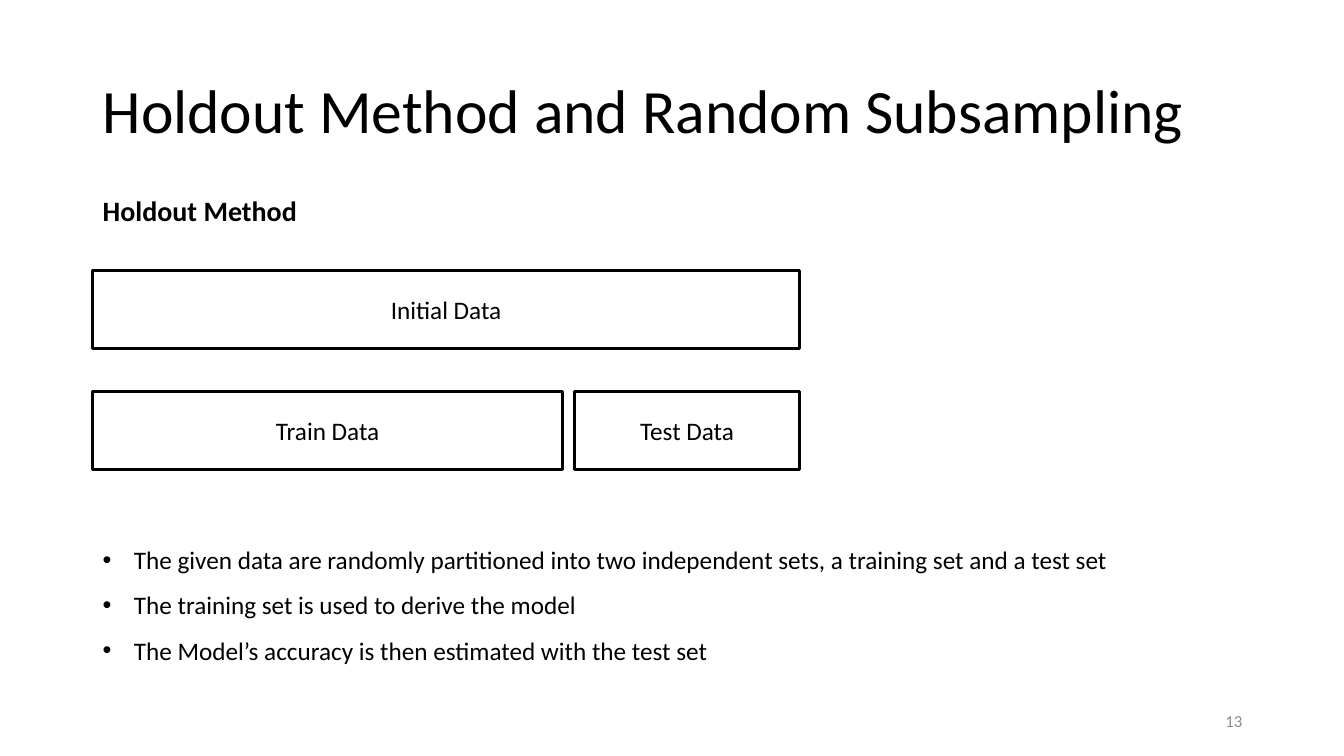
from lxml.etree import SubElement
from pptx import Presentation
from pptx.dml.color import RGBColor
from pptx.enum.shapes import MSO_SHAPE
from pptx.enum.text import MSO_ANCHOR, PP_ALIGN
from pptx.oxml.ns import qn
from pptx.util import Inches, Pt

LEFT = 0.92
BLACK = "000000"


def color(code):
    return RGBColor.from_string(code)


def style(frame, size, code=BLACK, bold=False, align=PP_ALIGN.LEFT, spacing=1.0):
    for para in frame.paragraphs:
        para.alignment = align
        para.line_spacing = spacing
        for run in para.runs:
            run.font.name = "Calibri"
            run.font.size = Pt(size)
            run.font.bold = bold
            run.font.color.rgb = color(code)


def add_text(slide, box, text, size, anchor=MSO_ANCHOR.TOP, **look):
    frame = slide.shapes.add_textbox(*map(Inches, box)).text_frame
    frame.word_wrap = True
    frame.vertical_anchor = anchor
    frame.text = text
    style(frame, size, **look)
    return frame


def add_bar(slide, box, label):
    bar = slide.shapes.add_shape(MSO_SHAPE.RECTANGLE, *map(Inches, box))
    bar.shadow.inherit = False
    bar.fill.solid()
    bar.fill.fore_color.rgb = color("FFFFFF")
    bar.line.color.rgb = color(BLACK)
    bar.line.width = Pt(2)
    frame = bar.text_frame
    frame.text = label
    frame.vertical_anchor = MSO_ANCHOR.MIDDLE
    style(frame, 18, align=PP_ALIGN.CENTER)


def add_split(slide, left, top, width):
    high, step, gap, train = 0.78, 1.2, 0.12, 4.66
    low = top + step
    test = width - train - gap
    add_bar(slide, (left, top, width, high), "Initial Data")
    add_bar(slide, (left, low, train, high), "Train Data")
    add_bar(slide, (left + train + gap, low, test, high), "Test Data")


def add_points(slide, box, points):
    frame = add_text(slide, box, "\n".join(points), 18, spacing=1.5)
    for para in frame.paragraphs:
        props = para._p.get_or_add_pPr()
        props.set("marL", str(Inches(0.31)))
        props.set("indent", str(-Inches(0.31)))
        SubElement(props, qn("a:buFont"), typeface="Arial")
        SubElement(props, qn("a:buChar"), char="•")


def main():
    deck = Presentation()
    deck.slide_width = Inches(13.33)
    deck.slide_height = Inches(7.5)
    slide = deck.slides.add_slide(deck.slide_layouts[6])
    add_text(slide, (LEFT, 0.4, 11.5, 1.45), "Holdout Method and Random Subsampling",
             44, MSO_ANCHOR.MIDDLE, spacing=0.9)
    add_text(slide, (LEFT, 1.87, 5.58, 0.44), "Holdout Method", 20, bold=True)
    add_split(slide, LEFT, 2.68, 7.01)
    add_points(slide, (LEFT, 5.2, 10.94, 1.42), [
        "The given data are randomly partitioned into two independent sets, "
        "a training set and a test set",
        "The training set is used to derive the model",
        "The Model’s accuracy is then estimated with the test set",
    ])
    add_text(slide, (9.42, 6.95, 3, 0.4), "13", 12, MSO_ANCHOR.MIDDLE,
             code="8C8C8C", align=PP_ALIGN.RIGHT)
    deck.save("out.pptx")


if __name__ == "__main__":
    main()
